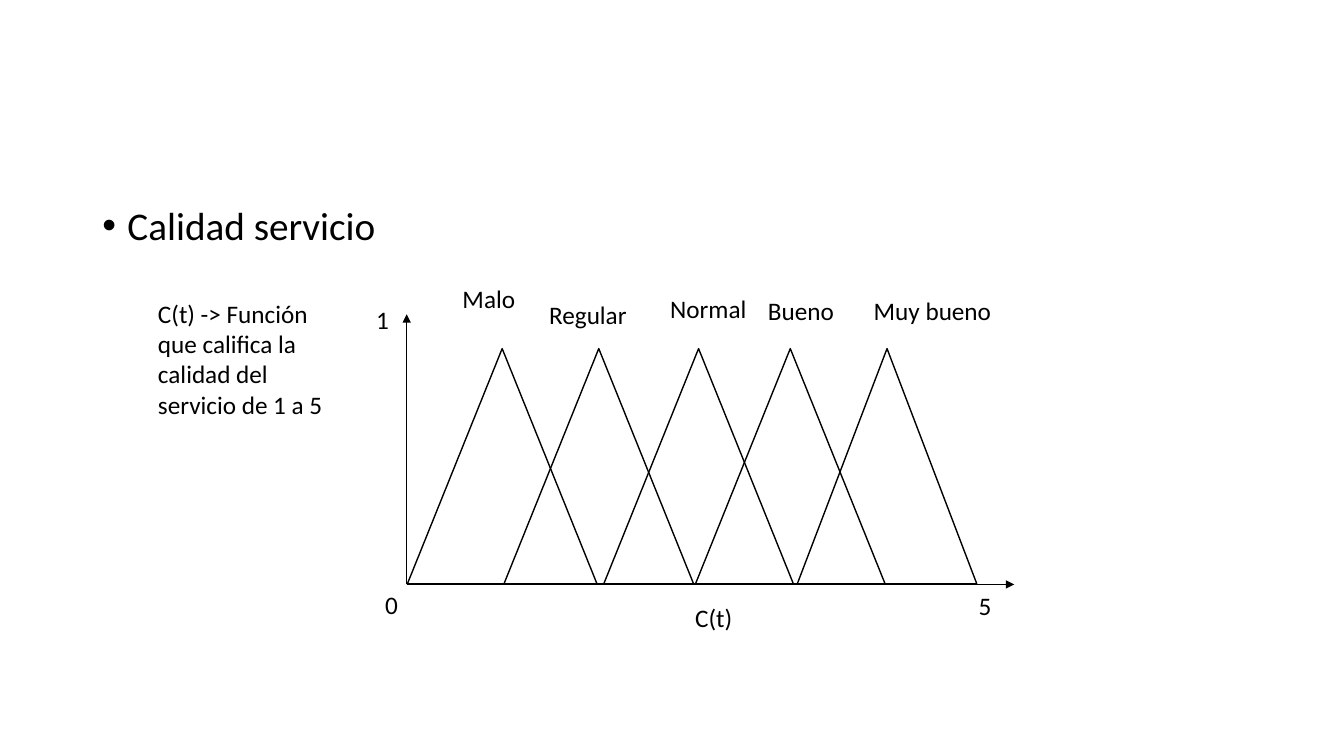
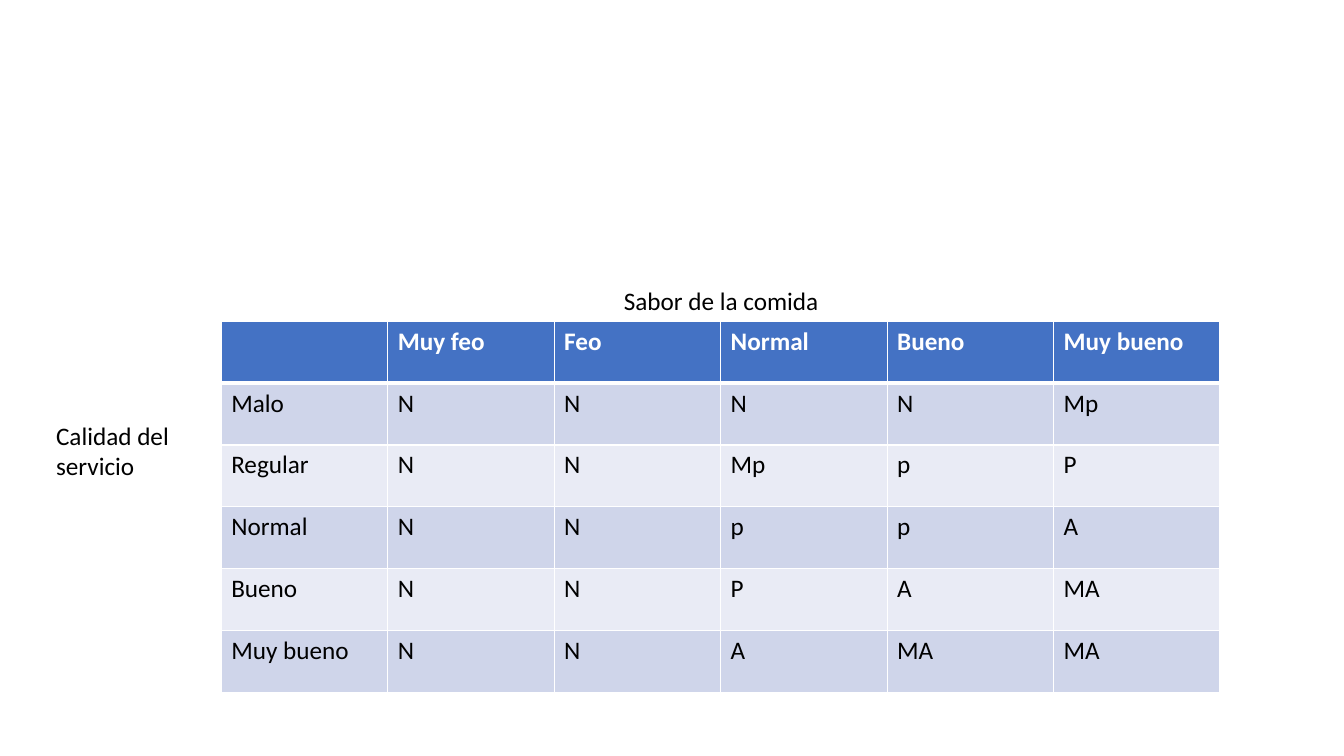
import pptx
import pptx.dml.color
import pptx.enum.shapes
import pptx.enum.text
import pptx.oxml
import pptx.oxml.ns
import pptx.util
from lxml import etree

Pt = pptx.util.Pt
qn = pptx.oxml.ns.qn

FONT = "Calibri"
COLORS = {
    "ink": "000000",
    "white": "FFFFFF",
    "header": "4472C4",
    "band_dark": "CFD5EA",
    "band_light": "E9EBF5",
}

# Label, triangle left, triangle width, label left, label top, label width;
# positions are offsets from the top left corner of the plot.
FUZZY_SETS = [
    ("Malo", 0.5, 135.4, 32.8, -26, 83.5),
    ("Regular", 69.5, 135.4, 94.7, -14.5, 77.8),
    ("Normal", 140.8, 135.4, 181.1, -18.7, 83.5),
    ("Bueno", 206.3, 135.4, 251, -17.3, 83.5),
    ("Muy bueno", 279, 128.2, 326.5, -17.3, 107.3),
]

RULES = [
    ["", "Muy feo", "Feo", "Normal", "Bueno", "Muy bueno"],
    ["Malo", "N", "N", "N", "N", "Mp"],
    ["Regular", "N", "N", "Mp", "p", "P"],
    ["Normal", "N", "N", "p", "p", "A"],
    ["Bueno", "N", "N", "P", "A", "MA"],
    ["Muy bueno", "N", "N", "A", "MA", "MA"],
]


def rgb(name):
    return pptx.dml.color.RGBColor.from_string(COLORS[name])


def style_text(tf, size=18, color="ink", bold=False):
    for p in tf.paragraphs:
        for r in p.runs:
            r.font.name = FONT
            r.font.size = Pt(size)
            r.font.bold = bold
            r.font.color.rgb = rgb(color)


def add_text(slide, text, left, top, width, height=29, wrap=True, grow=True, size=18):
    sp = slide.shapes.add_textbox(Pt(left), Pt(top), Pt(width), Pt(height))
    tf = sp.text_frame
    tf.word_wrap = wrap
    if grow:
        tf.auto_size = pptx.enum.text.MSO_AUTO_SIZE.SHAPE_TO_FIT_TEXT
    tf.text = text
    style_text(tf, size)
    return tf


def add_bullet(slide, text, left, top, width, height):
    tf = add_text(slide, text, left, top, width, height, grow=False, size=28)
    p = tf.paragraphs[0]
    p.line_spacing = 0.9
    p.space_before = Pt(10)
    pPr = p._p.get_or_add_pPr()
    pPr.set("marL", str(Pt(18)))
    pPr.set("indent", str(-Pt(18)))
    etree.SubElement(pPr, qn("a:buFont")).set("typeface", "Arial")
    etree.SubElement(pPr, qn("a:buChar")).set("char", "•")


def add_axis(slide, x1, y1, x2, y2):
    line = slide.shapes.add_connector(
        pptx.enum.shapes.MSO_CONNECTOR.STRAIGHT, Pt(x1), Pt(y1), Pt(x2), Pt(y2))
    line.line.color.rgb = rgb("ink")
    line.line.width = Pt(0.5)
    ln = line.line._get_or_add_ln()
    etree.SubElement(ln, qn("a:tailEnd")).set("type", "triangle")
    etree.SubElement(line._element.spPr, qn("a:effectLst"))


def add_membership_plot(slide, left, top, width, height):
    """Draw the axes, the fuzzy sets and their labels; the box is the axes' extent."""
    bottom = top + height
    add_axis(slide, left, bottom, left, top)
    add_axis(slide, left, bottom, left + width, bottom)

    peak = 168
    for label, x, w, label_x, label_y, label_w in FUZZY_SETS:
        sp = slide.shapes.add_shape(
            pptx.enum.shapes.MSO_SHAPE.ISOSCELES_TRIANGLE,
            Pt(left + x), Pt(bottom - peak - 0.5), Pt(w), Pt(peak))
        sp.shadow.inherit = False
        sp.fill.background()
        sp.line.color.rgb = rgb("ink")
        sp.line.width = Pt(1)
        add_text(slide, label, left + label_x, top + label_y, label_w)

    add_text(slide, "0", left - 22.5, bottom, 23.8, wrap=False)
    add_text(slide, "1", left - 29, top - 10.7, 42.5)
    add_text(slide, "5", left + width - 32.5, bottom + 0.8, 72)
    add_text(slide, "C(t)", left + 199, bottom + 9.4, 72)


def set_borders(cell, top, bottom):
    tcPr = cell._tc.get_or_add_tcPr()
    for side, width in (("L", 1), ("R", 1), ("T", top), ("B", bottom)):
        ln = etree.SubElement(tcPr, qn("a:ln" + side))
        ln.set("w", str(Pt(width)))
        fill = etree.SubElement(ln, qn("a:solidFill"))
        etree.SubElement(fill, qn("a:srgbClr")).set("val", COLORS["white"])


def add_rule_table(slide, left, top, width, height):
    rows, cols = len(RULES), len(RULES[0])
    table = slide.shapes.add_table(
        rows, cols, Pt(left), Pt(top), Pt(width), Pt(height)).table
    for i, row in enumerate(RULES):
        header = i == 0
        band = "header" if header else "band_dark" if i % 2 else "band_light"
        for j, text in enumerate(row):
            cell = table.cell(i, j)
            set_borders(cell, top=3 if i == 1 else 1, bottom=3 if header else 1)
            cell.fill.solid()
            cell.fill.fore_color.rgb = rgb(band)
            cell.text_frame.text = text
            style_text(cell.text_frame, color="white" if header else "ink", bold=header)


def build_quality_slide(slide):
    add_bullet(slide, "Calidad servicio", 66, 144, 828, 342.7)
    add_membership_plot(slide, 290.5, 224.5, 434, 193)
    add_text(slide, "C(t) -> Función que califica la calidad del servicio de 1 a 5",
             105.8, 209.5, 141, 94.5)


def build_rules_slide(slide):
    add_rule_table(slide, 158, 229.5, 713.5, 265)
    add_text(slide, "Calidad del\nservicio", 33, 296.6, 96.5, 51, wrap=False)
    add_text(slide, "Sabor de la comida", 438.5, 200.2, 192)


def main():
    prs = pptx.Presentation()
    prs.slide_width = Pt(960)
    prs.slide_height = Pt(540)
    for build in (build_quality_slide, build_rules_slide):
        build(prs.slides.add_slide(prs.slide_layouts[6]))
    prs.save("out.pptx")


if __name__ == "__main__":
    main()
